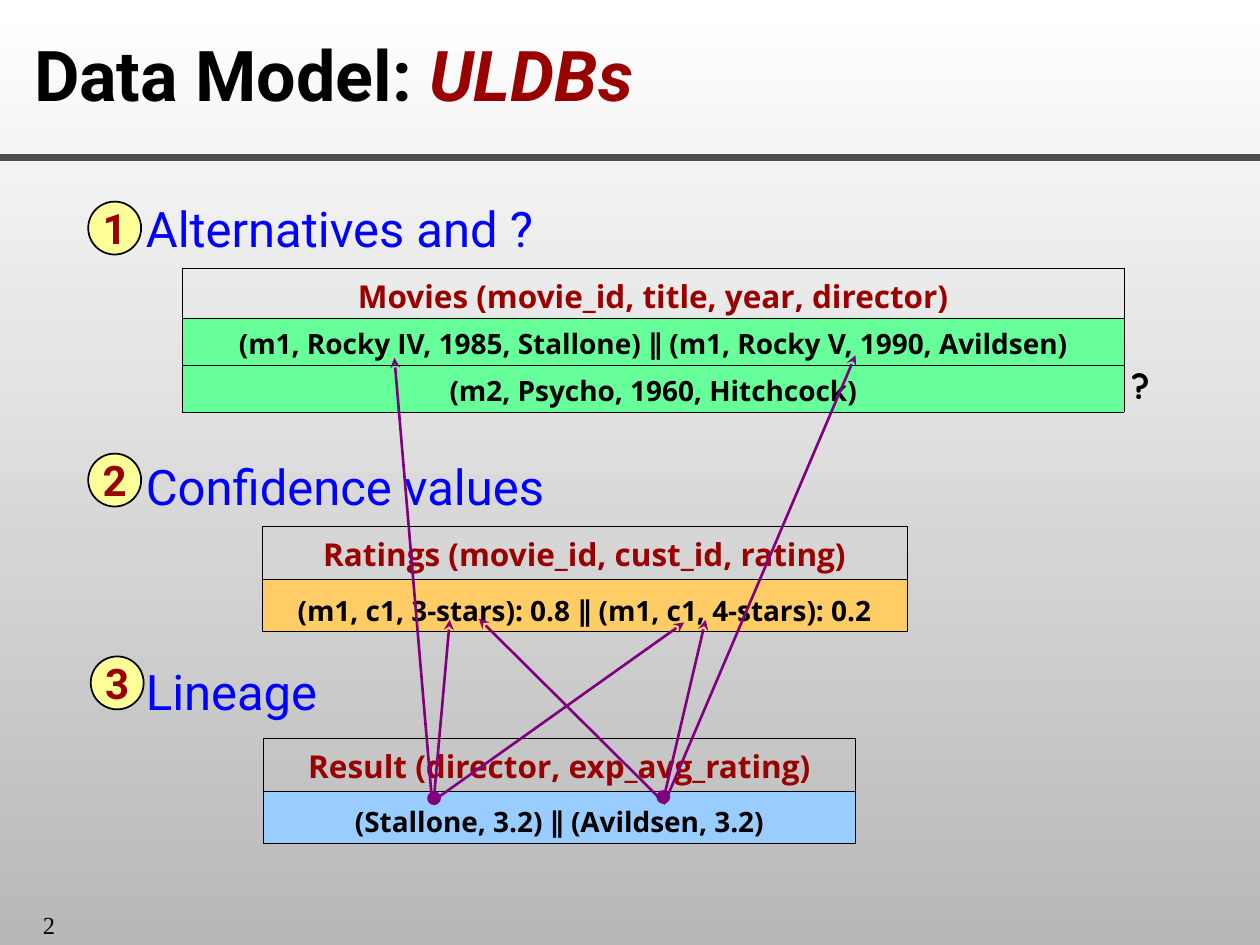
from typing import NamedTuple

from lxml import etree
from pptx import Presentation
from pptx.dml.color import RGBColor
from pptx.enum.shapes import MSO_CONNECTOR, MSO_SHAPE
from pptx.enum.text import MSO_ANCHOR, MSO_AUTO_SIZE, PP_ALIGN
from pptx.oxml.ns import qn
from pptx.util import Inches, Pt

STRAIGHT = MSO_CONNECTOR.STRAIGHT
OVAL = MSO_SHAPE.OVAL
MIDDLE = MSO_ANCHOR.MIDDLE
LEFT, CENTER = PP_ALIGN.LEFT, PP_ALIGN.CENTER
NO_AUTOFIT = MSO_AUTO_SIZE.NONE

COLUMNS, ROWS = 100, 75
SLIDE_WIDTH, SLIDE_HEIGHT = Inches(10), Inches(7.5)
BLACK, DARK_RED, PURPLE = "000000", "990000", "800080"
BLUE, YELLOW, GRAY = "0000FF", "FFFF99", "4D4D4D"
BADGE_SIZE, DOT_SIZE = 4.2, 1.1


class Section(NamedTuple):
    number: str
    heading: str
    badge_left: float
    badge_top: float
    heading_middle: float


class Relation(NamedTuple):
    schema: str
    tuples: list[str]
    fill: str
    left: float
    top: float
    width: float
    row_heights: list[float]
    line_spacing: float


class Lineage(NamedTuple):
    dot: tuple[float, float]
    arrows: list[tuple[float, float, float, float]]


SECTIONS = [
    Section("1", "Alternatives and ?", 7, 16, 18.1),
    Section("2", "Confidence values", 7, 36, 38.6),
    Section("3", "Lineage", 7.2, 52.1, 54.8),
]
RELATIONS = [
    Relation("Movies (movie_id, title, year, director)",
             ["(m1, Rocky IV, 1985, Stallone) ∥ (m1, Rocky V, 1990, Avildsen)",
              "(m2, Psycho, 1960, Hitchcock)"],
             "66FF99", 14.5, 21.3, 74.7, [4, 3.7, 3.7], 1),
    Relation("Ratings (movie_id, cust_id, rating)",
             ["(m1, c1, 3-stars): 0.8 ∥ (m1, c1, 4-stars): 0.2"],
             "FFCC66", 20.8, 41.8, 51.2, [4.2, 4.1], 1.15),
    Relation("Result (director, exp_avg_rating)",
             ["(Stallone, 3.2) ∥ (Avildsen, 3.2)"],
             "99CCFF", 20.9, 58.6, 47, [4.2, 4.1], 1.15),
]
LINEAGES = [
    Lineage((33.9, 62.8), [(34.3, 63.7, 31.3, 28.4),
                           (34.4, 63.8, 35.7, 49.2),
                           (34.2, 63.7, 54.3, 49.4)]),
    Lineage((52.1, 62.7), [(52.8, 63.6, 67.9, 28.2),
                           (52.8, 63.8, 38, 49.1),
                           (52.6, 63.7, 56, 49.2)]),
]


def x(columns: float) -> int:
    return round(SLIDE_WIDTH * columns / COLUMNS)


def y(rows: float) -> int:
    return round(SLIDE_HEIGHT * rows / ROWS)


def color(value: str) -> RGBColor:
    return RGBColor.from_string(value)


def format_font(font, name: str, size: float, value: str, bold: bool = False) -> None:
    font.name, font.size, font.bold = name, Pt(size), bold
    font.color.rgb = color(value)


def format_runs(paragraph, *style) -> None:
    for run in paragraph.runs:
        format_font(run.font, *style)


def add_label(slide, text: str, left: float, top: float, width: float,
              height: float, *style):
    frame = slide.shapes.add_textbox(x(left), y(top), x(width), y(height)).text_frame
    frame.word_wrap = True
    frame.text = text
    format_runs(frame.paragraphs[0], *style)
    return frame


def add_line(slide, start: tuple[float, float], end: tuple[float, float],
             value: str, width: float, arrow: bool = False) -> None:
    line = slide.shapes.add_connector(STRAIGHT, x(start[0]), y(start[1]), x(end[0]), y(end[1]))
    line.line.color.rgb = color(value)
    line.line.width = Pt(width)
    if arrow:
        etree.SubElement(line.line._get_or_add_ln(), qn("a:tailEnd"), type="stealth")
    etree.SubElement(line._element.spPr, qn("a:effectLst"))


def add_circle(slide, left: float, top: float, size: float, fill: str):
    circle = slide.shapes.add_shape(OVAL, x(left), y(top), x(size), y(size))
    circle.shadow.inherit = False
    circle.fill.solid()
    circle.fill.fore_color.rgb = color(fill)
    circle.line.fill.background()
    return circle


def add_section(slide, section: Section) -> None:
    height = 5.6
    heading = add_label(slide, section.heading, 10.6, section.heading_middle - height / 2,
                        60, height, "Roboto", 28, BLUE)
    heading.vertical_anchor = MIDDLE
    badge = add_circle(slide, section.badge_left, section.badge_top, BADGE_SIZE, YELLOW)
    badge.line.color.rgb = color(BLACK)
    badge.line.width = Pt(1)
    frame = badge.text_frame
    frame.margin_left = frame.margin_right = frame.margin_top = frame.margin_bottom = 0
    frame.word_wrap = False
    frame.vertical_anchor = MIDDLE
    frame.text = section.number
    frame.paragraphs[0].alignment = CENTER
    format_runs(frame.paragraphs[0], "Roboto", 24, DARK_RED, True)


def add_borders(cell) -> None:
    properties = cell._tc.get_or_add_tcPr()
    for position, side in enumerate(("a:lnL", "a:lnR", "a:lnT", "a:lnB")):
        border = etree.Element(qn(side), w=str(Pt(0.45)))
        fill = etree.SubElement(border, qn("a:solidFill"))
        etree.SubElement(fill, qn("a:srgbClr"), val=BLACK)
        properties.insert(position, border)


def add_relation(slide, relation: Relation) -> None:
    texts = [relation.schema, *relation.tuples]
    table = slide.shapes.add_table(len(texts), 1, x(relation.left), y(relation.top),
                                   x(relation.width), y(sum(relation.row_heights))).table
    table.first_row = table.horz_banding = False
    for index, (text, height) in enumerate(zip(texts, relation.row_heights)):
        table.rows[index].height = y(height)
        cell = table.cell(index, 0)
        cell.text = text
        paragraph = cell.text_frame.paragraphs[0]
        paragraph.alignment = CENTER
        if index == 0:
            cell.fill.background()
            format_runs(paragraph, "Open Sans", 18, DARK_RED, True)
        else:
            cell.fill.solid()
            cell.fill.fore_color.rgb = color(relation.fill)
            paragraph.line_spacing = relation.line_spacing
            format_runs(paragraph, "Open Sans", 16, BLACK, True)
        add_borders(cell)


def add_title(slide) -> None:
    title = slide.shapes.title
    title.left, title.top, title.width, title.height = x(1.7), y(0), x(86.7), y(11.7)
    frame = title.text_frame
    frame.auto_size = NO_AUTOFIT
    frame.vertical_anchor = MIDDLE
    paragraph = frame.paragraphs[0]
    paragraph.text = "Data Model: "
    paragraph.alignment = LEFT
    emphasis = paragraph.add_run()
    emphasis.text = "ULDBs"
    format_runs(paragraph, "Roboto", 40, BLACK, True)
    emphasis.font.italic = True
    emphasis.font.color.rgb = color(DARK_RED)


def add_background(slide) -> None:
    fill = slide.background.fill
    fill.gradient()
    fill.gradient_angle = 270
    for stop, position, value in zip(fill.gradient_stops, (0, 1), ("FFFFFF", "B8B8B8")):
        stop.position = position
        stop.color.rgb = color(value)


def main() -> None:
    presentation = Presentation()
    presentation.slide_width, presentation.slide_height = SLIDE_WIDTH, SLIDE_HEIGHT
    slide = presentation.slides.add_slide(presentation.slide_layouts.get_by_name("Title Only"))
    add_background(slide)
    add_line(slide, (0, 12.5), (COLUMNS, 12.5), GRAY, 4.5)
    add_title(slide)
    for section in SECTIONS:
        add_section(slide, section)
    for relation in RELATIONS:
        add_relation(slide, relation)
    add_label(slide, "?", 88.8, 28.4, 3, 4.4, "Quicksand", 20, BLACK, True)
    for lineage in LINEAGES:
        for start_x, start_y, end_x, end_y in lineage.arrows:
            add_line(slide, (start_x, start_y), (end_x, end_y), PURPLE, 1.5, True)
        add_circle(slide, *lineage.dot, DOT_SIZE, PURPLE)
    page_number = add_label(slide, "2", 0, 71.7, 5, 3.3, "Times New Roman", 14, BLACK)
    page_number.margin_left = x(3.4)
    page_number.margin_right = 0
    presentation.save("out.pptx")


if __name__ == "__main__":
    main()
